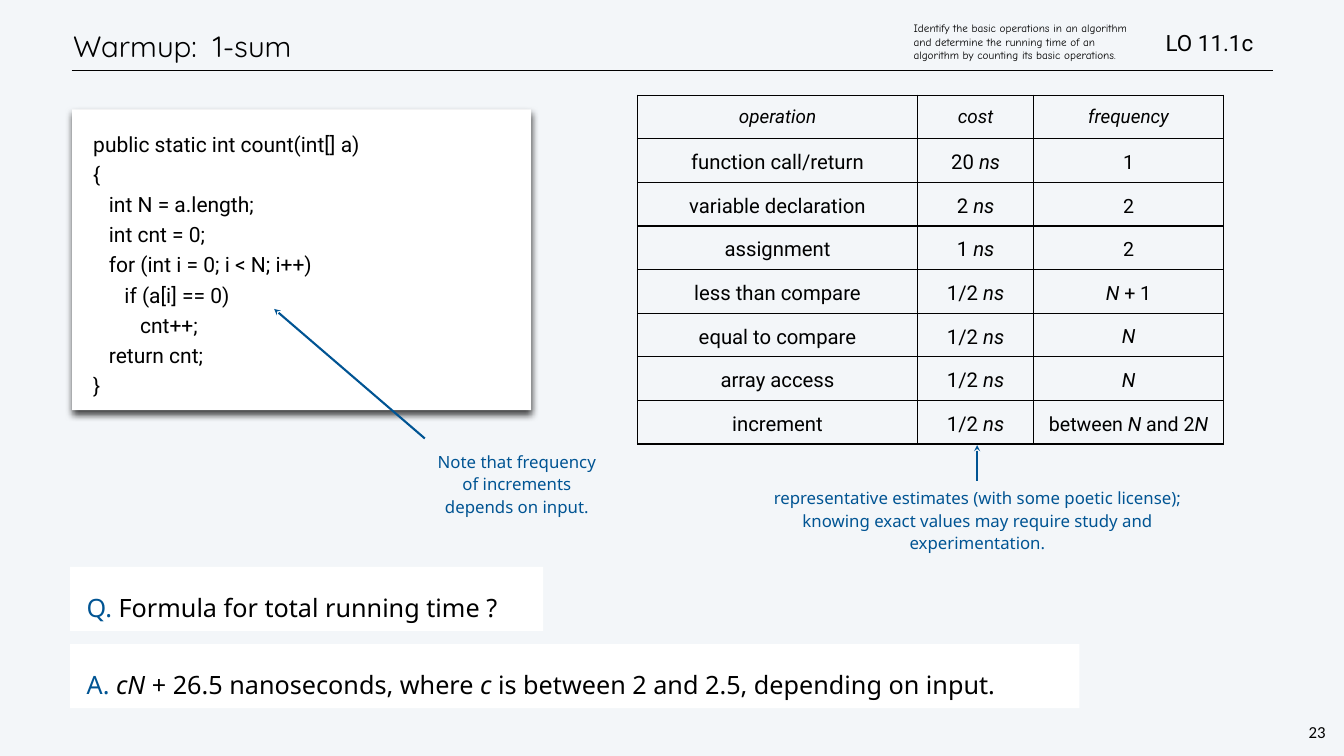
from lxml.etree import SubElement as Sub
from pptx import Presentation
from pptx.dml.color import RGBColor as RGB
from pptx.enum.shapes import MSO_CONNECTOR as Conn, MSO_SHAPE as Shape
from pptx.enum.text import MSO_ANCHOR as Anchor, PP_ALIGN as Align
from pptx.oxml.ns import qn
from pptx.util import Inches, Pt

BLACK, BLUE, WHITE, PAPER = "000000", "005493", "FFFFFF", "F3F6F9"
SANS, BODY = "Roboto", "Noto Sans"

CODE = """public static int count(int[] a)
{
   int N = a.length;
   int cnt = 0;
   for (int i = 0; i < N; i++)
      if (a[i] == 0)
         cnt++;
   return cnt;
}"""

COSTS = [
    ("*operation*", "*cost*", "*frequency*"),
    ("function call/return", "20 *ns*", "1"),
    ("variable declaration", "2 *ns*", "2"),
    ("assignment", "1 *ns*", "2"),
    ("less than compare", "1/2 *ns*", "*N* + 1"),
    ("equal to compare", "1/2 *ns*", "*N*"),
    ("array access", "1/2 *ns*", "*N*"),
    ("increment", "1/2 *ns*", "between *N* and 2*N*"),
]


def color(code):
    return RGB.from_string(code)


class Deck:
    def __init__(self, wide, high):
        self.file = Presentation()
        self.file.slide_width, self.file.slide_height = Inches(wide), Inches(high)
        self.slide = self.file.slides.add_slide(self.file.slide_layouts[6])
        self.slide.background.fill.solid()
        self.slide.background.fill.fore_color.rgb = color(PAPER)
        self.shapes = self.slide.shapes

    def words(self, frame, text, size, font, hue=BLACK, lead="", align=None,
              space=None, gap=0):
        for n, line in enumerate(text.split("\n")):
            par = frame.paragraphs[0] if n == 0 else frame.add_paragraph()
            par.alignment = align
            if space:
                par.line_spacing = space
            if n and gap:
                par.space_before = Pt(gap)
            par.font.size, par.font.name = Pt(size), font
            par.font.color.rgb = color(hue)
            if lead:
                run = par.add_run()
                run.text = lead
                run.font.color.rgb = color(BLUE)
            for k, part in enumerate(line.split("*")):
                if part:
                    run = par.add_run()
                    run.text = part
                    if k % 2:
                        run.font.italic = True

    def inset(self, frame, pad, left=None, base=None):
        frame.margin_top = frame.margin_right = Inches(pad)
        frame.margin_left = Inches(pad if left is None else left)
        frame.margin_bottom = Inches(pad if base is None else base)

    def label(self, box, text, size, font, pad=0.06, left=None, base=None,
              anchor=Anchor.TOP, wrap=True, **style):
        frame = self.shapes.add_textbox(*map(Inches, box)).text_frame
        frame.word_wrap, frame.vertical_anchor = wrap, anchor
        self.inset(frame, pad, left, base)
        self.words(frame, text, size, font, **style)

    def panel(self, box, text, size, font, left=0.33, shade=False, **style):
        shape = self.shapes.add_shape(Shape.RECTANGLE, *map(Inches, box))
        shape.shadow.inherit = False
        shape.fill.solid()
        shape.fill.fore_color.rgb = color(WHITE)
        shape.line.fill.background()
        if shade:
            drop = Sub(shape.element.spPr.find(qn("a:effectLst")), qn("a:outerShdw"),
                       blurRad=str(Pt(10)), dist=str(Pt(6)), dir="5400000",
                       rotWithShape="0")
            Sub(Sub(drop, qn("a:srgbClr"), val=BLACK), qn("a:alpha"), val="75000")
        frame = shape.text_frame
        frame.word_wrap, frame.vertical_anchor = True, Anchor.TOP
        self.inset(frame, 0.33, left)
        self.words(frame, text, size, font, align=Align.LEFT, **style)

    def line(self, start, end, hue, width, head=False):
        link = self.shapes.add_connector(Conn.STRAIGHT, *map(Inches, start + end))
        link.line.color.rgb, link.line.width = color(hue), Pt(width)
        props = link.element.spPr
        if head:
            Sub(props.find(qn("a:ln")), qn("a:headEnd"), type="stealth")
        Sub(props, qn("a:effectLst"))

    def border(self, cell):
        props = cell._tc.get_or_add_tcPr()
        for side in "LRTB":
            edge = Sub(props, qn("a:ln" + side), w=str(Pt(2)))
            Sub(Sub(edge, qn("a:solidFill")), qn("a:srgbClr"), val=BLACK)
        cell.fill.background()

    def table(self, box, cols, rows):
        grid = self.shapes.add_table(len(rows), len(cols), *map(Inches, box)).table
        grid.first_row = grid.horz_banding = False
        for col, wide in zip(grid.columns, cols):
            col.width = Inches(wide)
        for r, row in enumerate(rows):
            grid.rows[r].height = Inches(box[3] / len(rows))
            for c, text in enumerate(row):
                cell = grid.cell(r, c)
                cell.vertical_anchor = Anchor.MIDDLE
                self.inset(cell, 0.04 if r else 0.03)
                size, space = (27, 32) if r == 0 else (28, 39) if c == 2 else (29, 40)
                self.words(cell.text_frame, text, size, SANS,
                           align=Align.CENTER, space=Pt(space))
                self.border(cell)


def main():
    deck = Deck(26.67, 15)
    deck.line((1.42, 1.4), (25.27, 1.4), BLACK, 1)
    deck.label((25.92, 14.29, 0.43, 0.47), "23", 24, "Calibri", pad=0.04,
               wrap=False, align=Align.CENTER, space=Pt(28))
    deck.label((1.39, 0.42, 22.62, 0.99), "Warmup:  1-sum", 42, "Quicksand",
               anchor=Anchor.MIDDLE, space=Pt(50))

    deck.panel((1.43, 2.17, 9.11, 5.97), CODE, 30, SANS, left=0.42,
               shade=True, space=1.2)
    for top, wide, lead, text in (
        (11.25, 9.39, "Q. ", "Formula for total running time ?"),
        (12.78, 20.03, "A. ", "*cN* + 26.5 nanoseconds, where *c* is between "
                              "2 and 2.5, depending on input."),
    ):
        deck.panel((1.39, top, wide, 1.27), text, 36, BODY, lead=lead, space=Pt(55))

    deck.table((12.65, 1.89, 11.63, 6.92), (5.56, 2.3, 3.77), COSTS)

    for box, text, start, end in (
        ((14.97, 9.58, 8.76, 1.39),
         "representative estimates (with some poetic license);\n"
         "knowing exact values may require study and experimentation.",
         (19.39, 8.83), (19.39, 9.54)),
        ((8.35, 8.87, 3.72, 1.39),
         "Note that frequency of increments\ndepends on input.",
         (5.44, 6.13), (8.43, 8.7)),
    ):
        deck.label(box, text, 24, BODY, left=0.15, hue=BLUE,
                   align=Align.CENTER, space=Pt(31), gap=2)
        deck.line(start, end, BLUE, 3, head=True)

    deck.label((23.07, 0.51, 2.99, 0.65), "LO 11.1c", 32, SANS, anchor=Anchor.MIDDLE)
    deck.label((18.02, 0.19, 4.43, 1.45),
               "Identify the basic operations in an algorithm and determine the "
               "running time of an algorithm by counting its basic operations.",
               16, "Comic Neue", left=0.11, base=0.24, anchor=Anchor.MIDDLE)
    deck.file.save("out.pptx")


if __name__ == "__main__":
    main()
